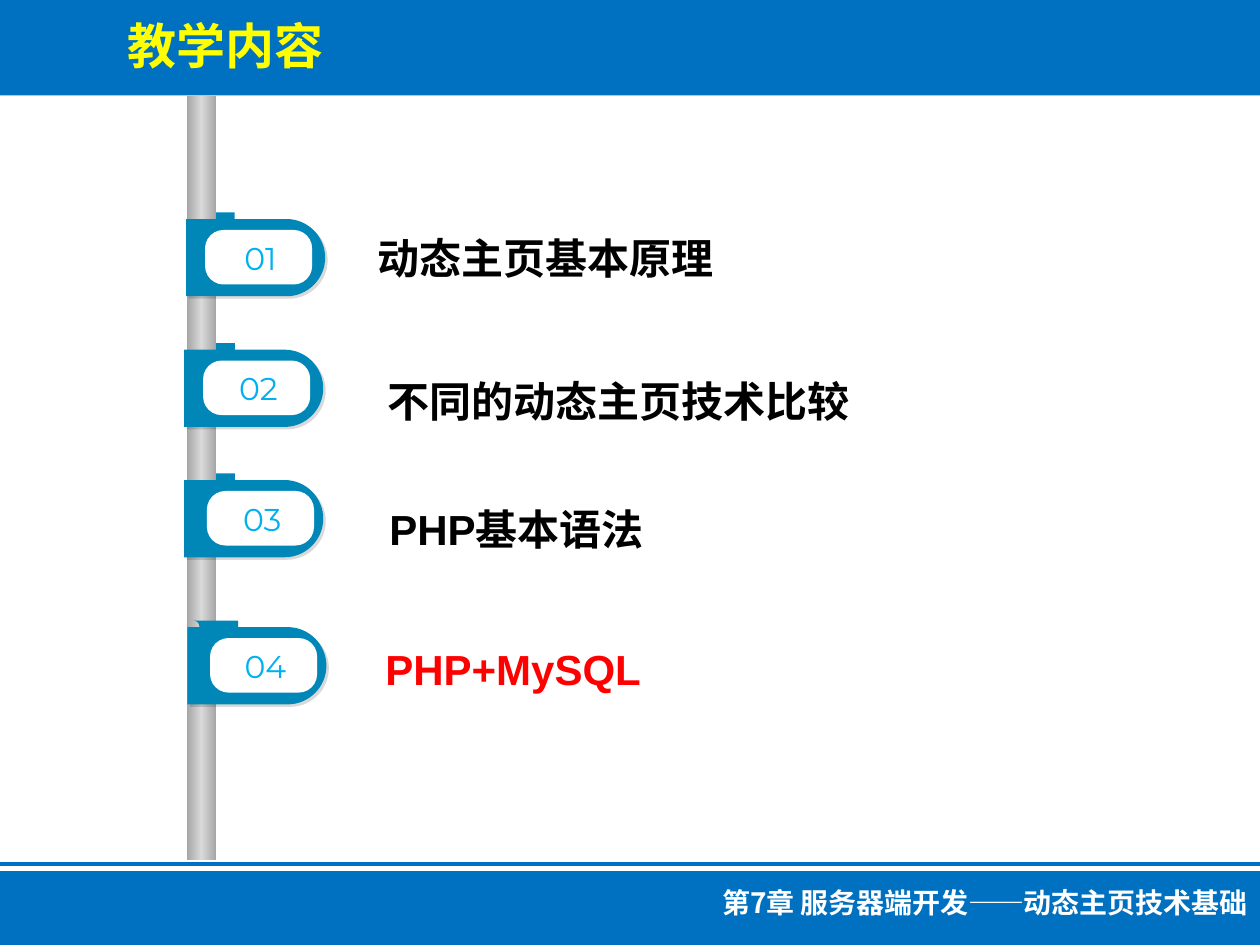
import copy

import pptx
import pptx.dml.color
import pptx.enum.shapes
import pptx.enum.text
import pptx.oxml
import pptx.oxml.ns
import pptx.util

COLORS = {
    "blue": "0070C0", "teal": "0187B7", "sky": "00B0F0", "white": "FFFFFF",
    "yellow": "FFFF00", "black": "000000", "red": "FF0000",
    "gray": "A6A6A6", "light": "D9D9D9",
}
COLS, ROWS = 100, 75  # square grid cells over the whole slide
CELL = pptx.util.Inches(0.1)
CJK = "Noto Sans CJK SC"
BEND = 0.45  # distance of a quarter circle's handle from its corner, in radii
SHAPE = pptx.enum.shapes.MSO_SHAPE
ALIGN = pptx.enum.text.PP_ALIGN
NS = 'xmlns:a="http://schemas.openxmlformats.org/drawingml/2006/main"'
qn = pptx.oxml.ns.qn

# tab column, flag column and row, plate column, label column and row, label
ITEMS = [
    (14.6, 14.77, 17.38, 16.27, 29, 16.77, "动态主页基本原理", "black"),
    (14.62, 14.62, 27.75, 16.12, 29.8, 28.1, "不同的动态主页技术比较", "black"),
    (14.62, 14.62, 38.1, 16.42, 29.92, 38.3, "PHP基本语法", "black"),
    (14.87, 14.87, 49.77, 16.67, 29.6, 49.35, "PHP+MySQL", "red"),
]


def cells(*values):
    return [round(v * CELL) for v in values]


def rgb(name):
    return pptx.dml.color.RGBColor.from_string(COLORS[name])


def paint(sp, color):
    sp.shadow.inherit = False
    sp.line.fill.background()
    sp.fill.solid()
    sp.fill.fore_color.rgb = rgb(color)
    return sp


def add_box(s, x, y, w, h, color, kind=SHAPE.RECTANGLE):
    return paint(s.shapes.add_shape(kind, *cells(x, y, w, h)), color)


def add_text(s, text, x, y, w, h, *, size, color, font=CJK, bold=True,
             align=ALIGN.LEFT, spacing=None, centered=False):
    tf = s.shapes.add_textbox(*cells(x, y, w, h)).text_frame
    tf.word_wrap = True
    if centered:
        tf.margin_left = tf.margin_right = tf.margin_top = tf.margin_bottom = 0
        tf.vertical_anchor = pptx.enum.text.MSO_ANCHOR.MIDDLE
    else:
        tf.auto_size = pptx.enum.text.MSO_AUTO_SIZE.SHAPE_TO_FIT_TEXT
    p = tf.paragraphs[0]
    p.alignment = align
    if spacing:
        p.line_spacing = spacing
    r = p.add_run()
    r.text = text
    r.font.size = pptx.util.Pt(size)
    r.font.bold = bold
    r.font.name = font
    r.font.color.rgb = rgb(color)
    r.font._element.find(qn("a:latin")).addnext(
        pptx.oxml.parse_xml(f'<a:ea {NS} typeface="{CJK}"/>'))


def half_circle(x, top, bottom, side):
    """Handles and ends of two quarter curves from top to bottom."""
    radius = (bottom - top) / 2
    middle, far = top + radius, x + side * radius
    near, gap = far - side * BEND * radius, BEND * radius
    return [(near, top), (far, top + gap), (far, middle),
            (far, bottom - gap), (near, bottom), (x, bottom)]


def add_outline(s, points, first_curve, color):
    """Draw lines; the six points from first_curve form two curves."""
    points = [cells(*pt) for pt in points]
    builder = s.shapes.build_freeform(*points[0])
    builder.add_line_segments(points[1:], close=True)
    sp = builder.convert_to_shape()
    lines = list(sp._element.iter(qn("a:lnTo")))
    for i in (first_curve - 1, first_curve + 2):
        curve = pptx.oxml.parse_xml(f"<a:cubicBezTo {NS}/>")
        lines[i].addprevious(curve)
        for line in lines[i:i + 3]:
            curve.append(line[0])
            line.getparent().remove(line)
    return paint(sp, color)


def add_tab(s, x, y, w=4.03, h=0.96):
    left = x + h / 2
    points = [(left, y), (x + w, y), (x + w, y + h), (left, y + h)]
    points += half_circle(left, y + h, y, 1 if h < 0 else -1)
    add_outline(s, points, 4, "teal")


def add_flag(s, x, y, w=11.04, h=6.13):
    right = x + w - h / 2
    points = [(x, y), (right, y)] + half_circle(right, y, y + h, 1)
    sp = add_outline(s, points + [(x, y + h), (x, y)], 2, "teal")
    sp._element.spPr.find(qn("a:effectLst")).append(pptx.oxml.parse_xml(
        f'<a:outerShdw {NS} blurRad="0" dist="25400" dir="2700000">'
        '<a:srgbClr val="000000"><a:alpha val="15000"/></a:srgbClr></a:outerShdw>'))


def add_pole(s):
    sp = add_box(s, 14.85, 7.6, 2.3, 60.7, "gray")
    sp.fill.gradient()
    sp.fill.gradient_angle = 0
    gs = sp._element.spPr.find(qn("a:gradFill")).find(qn("a:gsLst"))
    gs.append(copy.deepcopy(gs[-1]))
    for stop, pos, color in zip(sp.fill.gradient_stops, (0, 0.5, 1),
                                ("gray", "light", "gray")):
        stop.position = pos
        stop.color.rgb = rgb(color)


def add_plate(s, x, y, number):
    sp = add_box(s, x, y, 8.5, 4.33, "white", SHAPE.ROUNDED_RECTANGLE)
    sp.adjustments[0] = 0.34
    add_text(s, f"{number:02d}", x + 1.05, y + 0.6, 6.7, 3.2, size=18, color="sky",
             font="Montserrat", bold=False, align=ALIGN.CENTER, centered=True)


def add_rule(s, y):
    line = s.shapes.add_connector(pptx.enum.shapes.MSO_CONNECTOR.STRAIGHT,
                                  *cells(0, y, COLS, y))
    line.line.color.rgb = rgb("blue")
    line.line.width = pptx.util.Pt(2)
    line._element.spPr.append(pptx.oxml.parse_xml(f"<a:effectLst {NS}/>"))


def main():
    prs = pptx.Presentation()
    prs.slide_width, prs.slide_height = cells(COLS, ROWS)
    s = prs.slides.add_slide(prs.slide_layouts[6])

    # Header and footer bands
    add_box(s, 0, 0, COLS, 7.57, "blue")
    add_rule(s, 68.57)
    add_box(s, 0, 69.13, COLS, 6.2, "blue")
    add_text(s, "教学内容", 9.13, 0.75, 45.3, 5.7, size=28, color="yellow")
    add_text(s, "第7章 服务器端开发——动态主页技术基础", 52.9, 69.8, 47.1, 3.7,
             size=16, color="white", align=ALIGN.RIGHT)

    # Tabs fold behind the pole, except the current chapter's one
    for tab_x, _, y, *_ in ITEMS[:-1]:
        add_tab(s, tab_x, y - 0.52)
    add_pole(s)
    add_tab(s, ITEMS[-1][0], ITEMS[-1][2] - 0.52)

    # Flags with numbers and labels
    for number, item in enumerate(ITEMS, 1):
        _, flag_x, y, plate_x, text_x, text_y, label, color = item
        add_flag(s, flag_x, y)
        add_plate(s, plate_x, y + 0.87, number)
        add_text(s, label, text_x, text_y, 48.9, 6.2, size=24, color=color,
                 font="Arial", align=ALIGN.JUSTIFY, spacing=1.3)

    prs.save("out.pptx")


if __name__ == "__main__":
    main()
